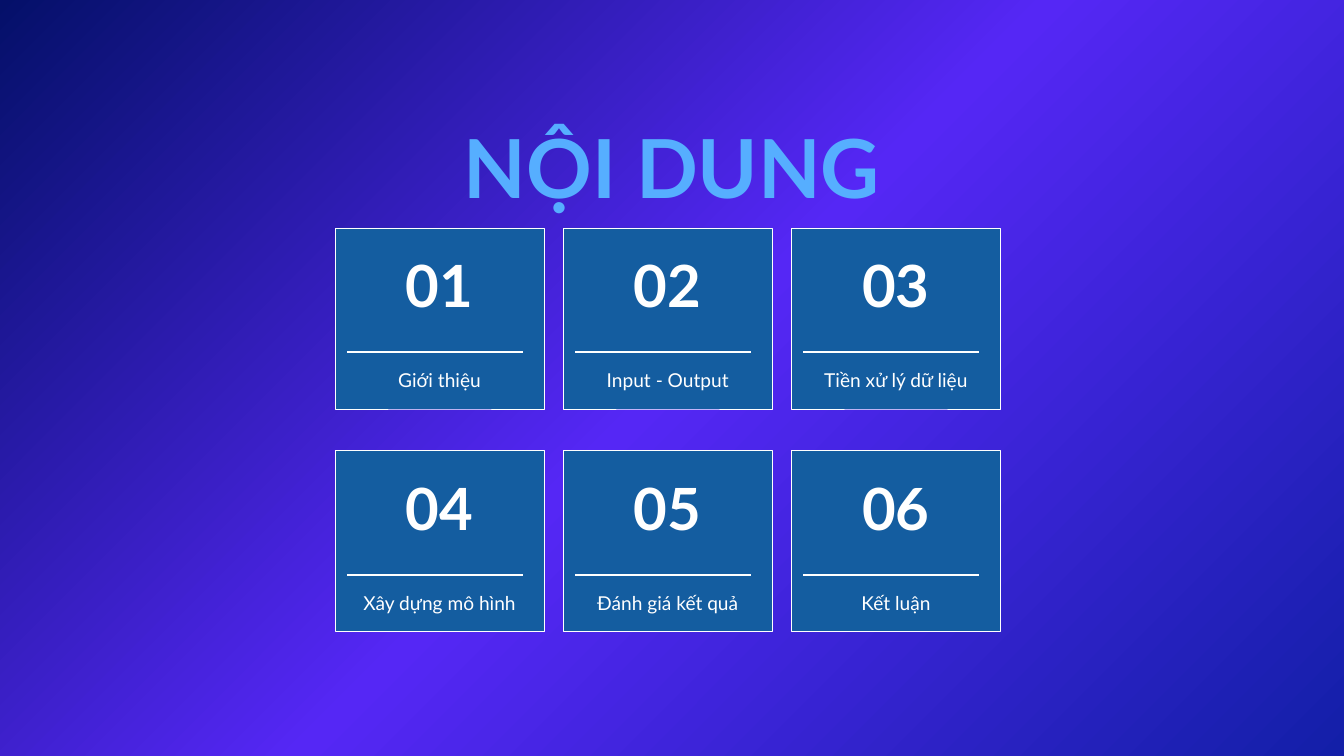
"""Build the contents slide: a title above a grid of six numbered topic cards."""
from copy import deepcopy
from dataclasses import dataclass

from lxml.etree import SubElement
from pptx import Presentation
from pptx.dml.color import RGBColor
from pptx.enum.shapes import MSO_CONNECTOR as Connector, MSO_SHAPE as Shape
from pptx.enum.text import MSO_ANCHOR as Anchor, MSO_AUTO_SIZE as AutoSize, PP_ALIGN as Align
from pptx.oxml.ns import qn
from pptx.slide import Slide
from pptx.text.text import TextFrame
from pptx.util import Pt

NAVY = RGBColor(0x04, 0x10, 0x69)
VIOLET = RGBColor(0x55, 0x27, 0xF5)
INDIGO = RGBColor(0x13, 0x1F, 0xA8)
CARD_BLUE = RGBColor(0x14, 0x5D, 0xA0)
SKY = RGBColor(0x56, 0xAE, 0xFF)
WHITE = RGBColor(0xFF, 0xFF, 0xFF)

TOPICS = (
    "Giới thiệu", "Input - Output", "Tiền xử lý dữ liệu",
    "Xây dựng mô hình", "Đánh giá kết quả", "Kết luận",
)
COLUMNS = 3
GRID_LEFT, GRID_TOP = 359.1, 244.25
COLUMN_STEP, ROW_STEP = 244.5, 238.75
CARD_WIDTH, CARD_HEIGHT = 223.75, 194
RULE_INSET, RULE_DROP, RULE_LENGTH = 12.5, 133, 188.5


@dataclass(frozen=True)
class TextStyle:
    size: float
    spacing: float
    color: RGBColor
    bold: bool = False


@dataclass(frozen=True)
class Box:
    left: float
    top: float
    width: float
    height: float

    def shifted(self, x: float, y: float) -> "Box":
        return Box(self.left + x, self.top + y, self.width, self.height)

    def lengths(self) -> tuple[Pt, Pt, Pt, Pt]:
        return Pt(self.left), Pt(self.top), Pt(self.width), Pt(self.height)


TITLE_STYLE = TextStyle(87.2, 104.6, SKY, True)
NUMBER_STYLE = TextStyle(62.3, 86, WHITE, True)
TOPIC_STYLE = TextStyle(20.5, 28.3, WHITE)
TITLE_BOX = Box(359.1, 126, 722, 105)
NUMBER_BOX = Box(39.25, 12, 144.75, 83.5)
TOPIC_BOX = Box(12.5, 146.5, 198.75, 54.75)


def write_line(frame: TextFrame, text: str, style: TextStyle) -> None:
    frame.margin_left = frame.margin_top = frame.margin_right = frame.margin_bottom = 0
    frame.word_wrap = True
    frame.auto_size = AutoSize.NONE
    frame.vertical_anchor = Anchor.TOP
    line = frame.paragraphs[0]
    line.alignment = Align.CENTER
    line.line_spacing = Pt(style.spacing)
    line.space_before = Pt(0)
    run = line.add_run()
    run.text = text
    run.font.name = "Lato"
    run.font.size = Pt(style.size)
    run.font.bold = style.bold
    run.font.color.rgb = style.color


def paint_background(slide: Slide) -> None:
    fill = slide.background.fill
    fill.gradient()
    fill.gradient_angle = 315
    stop_list = slide.element.find(".//" + qn("a:gsLst"))
    stop_list.append(deepcopy(stop_list[0]))
    for stop, color, position in zip(fill.gradient_stops, (NAVY, VIOLET, INDIGO), (0, 0.5, 1)):
        stop.color.rgb = color
        stop.position = position


def add_title(slide: Slide, text: str) -> None:
    title = slide.shapes.title
    title.left, title.top, title.width, title.height = TITLE_BOX.lengths()
    write_line(title.text_frame, text, TITLE_STYLE)


def add_rule(slide: Slide, left: float, top: float) -> None:
    rule = slide.shapes.add_connector(
        Connector.STRAIGHT, Pt(left), Pt(top), Pt(left + RULE_LENGTH), Pt(top))
    rule.line.color.rgb = WHITE
    rule.line.width = Pt(3)
    SubElement(rule.element.spPr, qn("a:effectLst"))


def add_card(slide: Slide, number: int, topic: str) -> None:
    row, column = divmod(number - 1, COLUMNS)
    left = GRID_LEFT + column * COLUMN_STEP
    top = GRID_TOP + row * ROW_STEP
    card = slide.shapes.add_shape(
        Shape.RECTANGLE, *Box(left, top, CARD_WIDTH, CARD_HEIGHT).lengths())
    card.shadow.inherit = False
    card.fill.solid()
    card.fill.fore_color.rgb = CARD_BLUE
    card.line.color.rgb = WHITE
    card.line.width = Pt(0.75)
    add_rule(slide, left + RULE_INSET, top + RULE_DROP)
    for box, text, style in (
        (NUMBER_BOX, f"{number:02}", NUMBER_STYLE),
        (TOPIC_BOX, topic, TOPIC_STYLE),
    ):
        label = slide.shapes.add_textbox(*box.shifted(left, top).lengths())
        write_line(label.text_frame, text, style)


def main() -> None:
    deck = Presentation()
    deck.slide_width, deck.slide_height = Pt(1440), Pt(810)
    slide = deck.slides.add_slide(deck.slide_layouts.get_by_name("Title Only"))
    paint_background(slide)
    add_title(slide, "NỘI DUNG")
    for number, topic in enumerate(TOPICS, start=1):
        add_card(slide, number, topic)
    deck.save("out.pptx")


if __name__ == "__main__":
    main()
